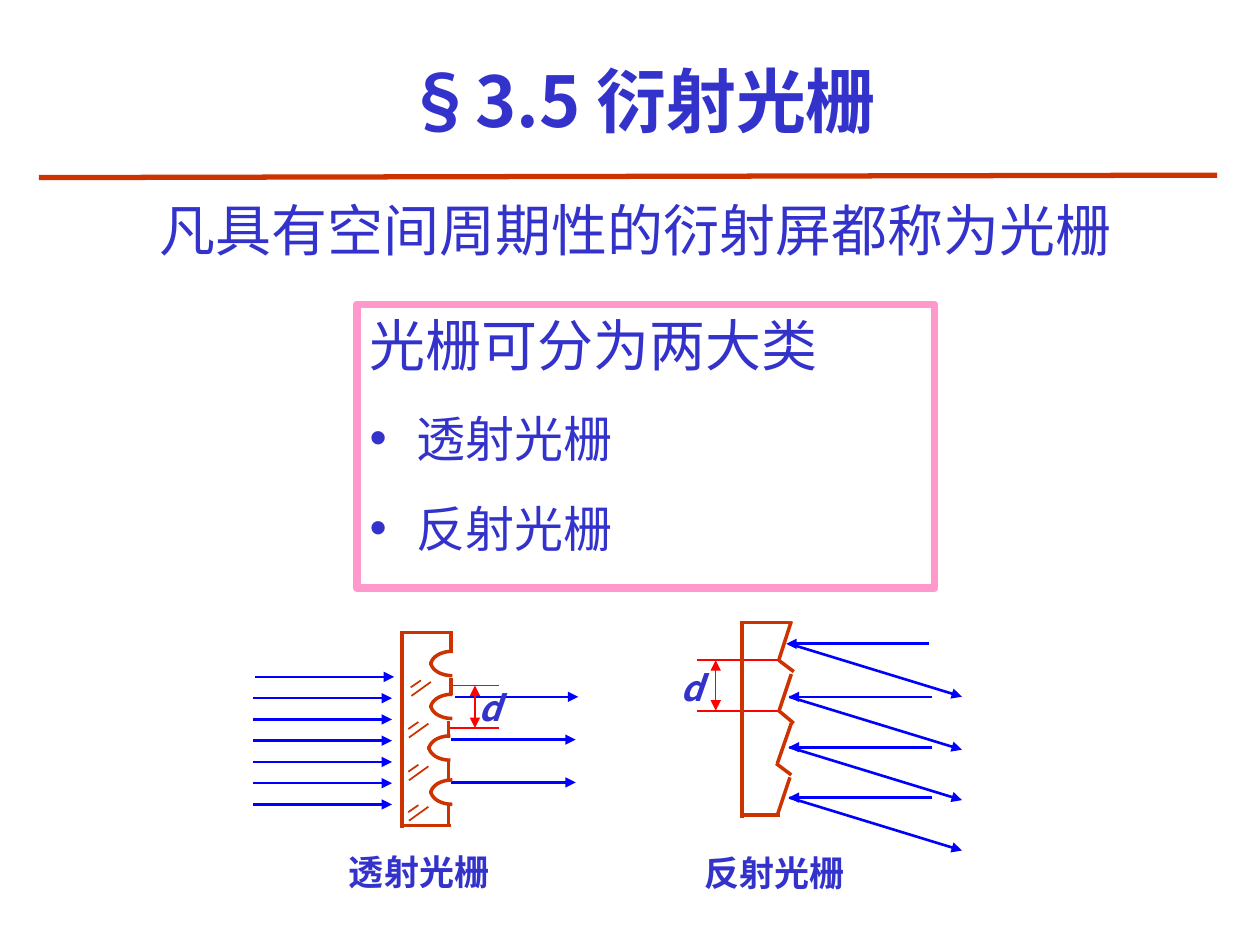
from dataclasses import dataclass
from math import cos, pi, sin

from lxml.etree import SubElement
from pptx import Presentation
from pptx.dml.color import RGBColor
from pptx.enum.shapes import MSO_CONNECTOR
from pptx.enum.text import MSO_ANCHOR, MSO_AUTO_SIZE, PP_ALIGN
from pptx.oxml.ns import qn
from pptx.util import Pt


@dataclass(frozen=True)
class Theme:
    font: str = "Noto Sans CJK SC"
    text: RGBColor = RGBColor(0x33, 0x33, 0xCC)
    frame: RGBColor = RGBColor(0xFF, 0x99, 0xCC)
    ray: RGBColor = RGBColor(0x00, 0x00, 0xFF)
    dimension: RGBColor = RGBColor(0xFF, 0x00, 0x00)
    grating: RGBColor = RGBColor(0xCC, 0x33, 0x00)
    title_size: int = 40
    statement_size: int = 32
    item_size: int = 28
    label_size: int = 20


theme = Theme()


def add_text(paragraph, text, size, bold=False, italic=False):
    run = paragraph.add_run()
    run.text = text
    font = run.font
    font.name, font.size = theme.font, Pt(size)
    font.bold, font.italic = bold, italic
    font.color.rgb = theme.text
    SubElement(run._r.get_or_add_rPr(), qn("a:ea"), typeface=theme.font)


def place(shape, left, top, width, height):
    shape.left, shape.top = Pt(left), Pt(top)
    shape.width, shape.height = Pt(width), Pt(height)


def set_hanging_indent(paragraph, bullet=None):
    properties = paragraph._p.get_or_add_pPr()
    properties.set("marL", str(Pt(27)))
    properties.set("indent", str(Pt(-27)))
    if bullet:
        SubElement(properties, qn("a:buChar"), char=bullet)
    else:
        SubElement(properties, qn("a:buNone"))


def add_line(slide, origin, start, end, color, width, head=False, tail=False):
    left, top = origin
    line = slide.shapes.add_connector(
        MSO_CONNECTOR.STRAIGHT,
        Pt(left + start[0]), Pt(top + start[1]),
        Pt(left + end[0]), Pt(top + end[1]),
    )
    line.line.color.rgb = color
    line.line.width = Pt(width)
    outline = line.line._get_or_add_ln()
    for tag, wanted in (("a:headEnd", head), ("a:tailEnd", tail)):
        if wanted:
            SubElement(outline, qn(tag), type="triangle")
    SubElement(line._element.spPr, qn("a:effectLst"))


def add_label(slide, origin, left, top, width, height, text, italic=False):
    box = slide.shapes.add_textbox(
        Pt(origin[0] + left), Pt(origin[1] + top), Pt(width), Pt(height))
    frame = box.text_frame
    frame.word_wrap = True
    frame.margin_left = frame.margin_right = Pt(0.72)
    frame.margin_top = frame.margin_bottom = Pt(0.72)
    paragraph = frame.paragraphs[0]
    paragraph.alignment = PP_ALIGN.JUSTIFY
    add_text(paragraph, text, theme.label_size, bold=True, italic=italic)


def add_period(slide, origin, x, top, bottom, extent, label_left, label_top):
    add_line(slide, origin, (x, top), (x, bottom), theme.dimension, 0.75, True, True)
    for y in (top, bottom):
        add_line(slide, origin, (extent[0], y), (extent[1], y), theme.dimension, 1)
    add_label(slide, origin, label_left, label_top, 30, 20.5, "d", italic=True)


def add_quarter_arc(slide, origin, right, start_y, height):
    width, steps = 12.3, 12
    left, top = origin
    angles = [pi / 2 * step / steps for step in range(steps + 1)]
    points = [
        (Pt(left + right - width * sin(angle)),
         Pt(top + start_y + height * (1 - cos(angle))))
        for angle in angles
    ]
    builder = slide.shapes.build_freeform(*points[0])
    builder.add_line_segments(points[1:], close=False)
    arc = builder.convert_to_shape()
    arc.shadow.inherit = False
    arc.fill.background()
    arc.line.color.rgb = theme.grating
    arc.line.width = Pt(2)


def build_heading(slide, left, top, width, height):
    title = slide.shapes.title
    place(title, left, top, width, height)
    frame = title.text_frame
    frame.auto_size = MSO_AUTO_SIZE.NONE
    frame.vertical_anchor = MSO_ANCHOR.MIDDLE
    paragraph = frame.paragraphs[0]
    paragraph.alignment = PP_ALIGN.CENTER
    add_text(paragraph, "§3.5 衍射光栅", theme.title_size, bold=True)
    add_line(slide, (left, top), (-37.7, 89.5), (635.5, 88.1), theme.grating, 3)


def build_definition(slide, left, top, width, height):
    box = slide.shapes.add_textbox(Pt(left), Pt(top), Pt(width), Pt(height))
    box.text_frame.word_wrap = True
    paragraph = box.text_frame.paragraphs[0]
    paragraph.alignment = PP_ALIGN.JUSTIFY
    set_hanging_indent(paragraph)
    add_text(paragraph, "凡具有空间周期性的衍射屏都称为光栅", theme.statement_size)


def build_classes(slide, left, top, width, height):
    body = slide.placeholders[1]
    place(body, left, top, width, height)
    body.line.color.rgb = theme.frame
    body.line.width = Pt(4.5)
    frame = body.text_frame
    frame.auto_size = MSO_AUTO_SIZE.NONE
    frame.vertical_anchor = MSO_ANCHOR.TOP
    rows = (
        ("光栅可分为两大类", theme.statement_size, 20, None),
        ("透射光栅", theme.item_size, 17.5, "•"),
        ("反射光栅", theme.item_size, 17.5, "•"),
    )
    for index, (text, size, space, bullet) in enumerate(rows):
        paragraph = frame.add_paragraph() if index else frame.paragraphs[0]
        paragraph.space_before = Pt(space)
        set_hanging_indent(paragraph, bullet)
        add_text(paragraph, text, size)


def build_transmission_grating(slide, left, top):
    origin = (left, top)
    for index in range(7):
        y = 26.8 + 12.15 * index
        shift = 0 if index else 1.2
        add_line(slide, origin, (0.7 + shift, y), (80 + shift, y), theme.ray, 1.5, tail=True)
    for index, (start, end) in enumerate(((116, 186.5), (114, 185), (114, 185))):
        y = 38.2 + 24.45 * index
        add_line(slide, origin, (start, y), (end, y), theme.ray, 1.5, tail=True)
    add_period(slide, origin, 127.4, 31.7, 56, (113, 141), 128.9, 31.7)

    for start, end in (((87, 1.4), (113.8, 1.4)), ((87, 111.6), (113.8, 111.6)),
                       ((85.7, 0.7), (85.7, 113))):
        add_line(slide, origin, start, end, theme.grating, 2)
    for x, start, end in ((113.8, 0.7, 13), (113.8, 27.4, 37.4), (112.4, 51.8, 61.9),
                          (112.4, 74.9, 85), (112.4, 100.1, 111.6)):
        add_line(slide, origin, (x, start), (x, end), theme.grating, 2)
    for right, y in ((114.5, 12.2), (114.5, 36.7), (113.4, 60.5), (114.5, 85.7)):
        add_quarter_arc(slide, origin, right, y, 7.9)
        add_quarter_arc(slide, origin, right, y + 13.9, -7.9)
    for x, y in ((90.7, 28.8), (89.3, 52.6), (89.3, 77), (89.3, 100.1)):
        add_line(slide, origin, (x + 5.8, y), (x, y + 4), theme.grating, 1)
        add_line(slide, origin, (x + 11.5, y + 0.9), (x + 0.4, y + 8.9), theme.grating, 1)
    add_label(slide, origin, 54.7, 125.3, 99.4, 27.4, "透射光栅")


def build_reflection_grating(slide, left, top):
    origin = (left, top)
    for x, y in ((61.3, 13.9), (62.7, 44.2), (62.7, 73), (62.7, 101.8)):
        add_line(slide, origin, (x, y), (x + 81.7, y), theme.ray, 1.5, head=True)
        add_line(slide, origin, (63, y), (161.7, y + 30.2), theme.ray, 1.5, tail=True)
    add_period(slide, origin, 21, 23.3, 52.1, (10.2, 57.7), 0.1, 26.2)

    outline = (
        ((36.1, 1), (36.1, 113.3)), ((36.1, 1.7), (62.7, 1.7)),
        ((36.1, 111.8), (57.7, 111.8)),
        ((64.2, 1), (57, 23.3)), ((57, 23.3), (65.6, 29.8)),
        ((64.2, 31.2), (57, 52.8)), ((57, 52.1), (65.6, 59.3)),
        ((64.2, 59.3), (56.2, 82.3)), ((55.5, 82.3), (64.2, 88.8)),
        ((63.4, 90.2), (56.2, 111.8)),
    )
    for start, end in outline:
        add_line(slide, origin, start, end, theme.grating, 2)
    add_label(slide, origin, 13.8, 132, 110, 28, "反射光栅")


def main():
    presentation = Presentation()
    presentation.slide_width, presentation.slide_height = Pt(720), Pt(540)
    slide = presentation.slides.add_slide(presentation.slide_layouts[1])
    build_heading(slide, 60, 12, 612, 90)
    build_definition(slide, 84, 108, 570, 60)
    build_classes(slide, 204, 174, 330, 162)
    build_transmission_grating(slide, 144, 360)
    build_reflection_grating(slide, 388, 354)
    presentation.save("out.pptx")


if __name__ == "__main__":
    main()
